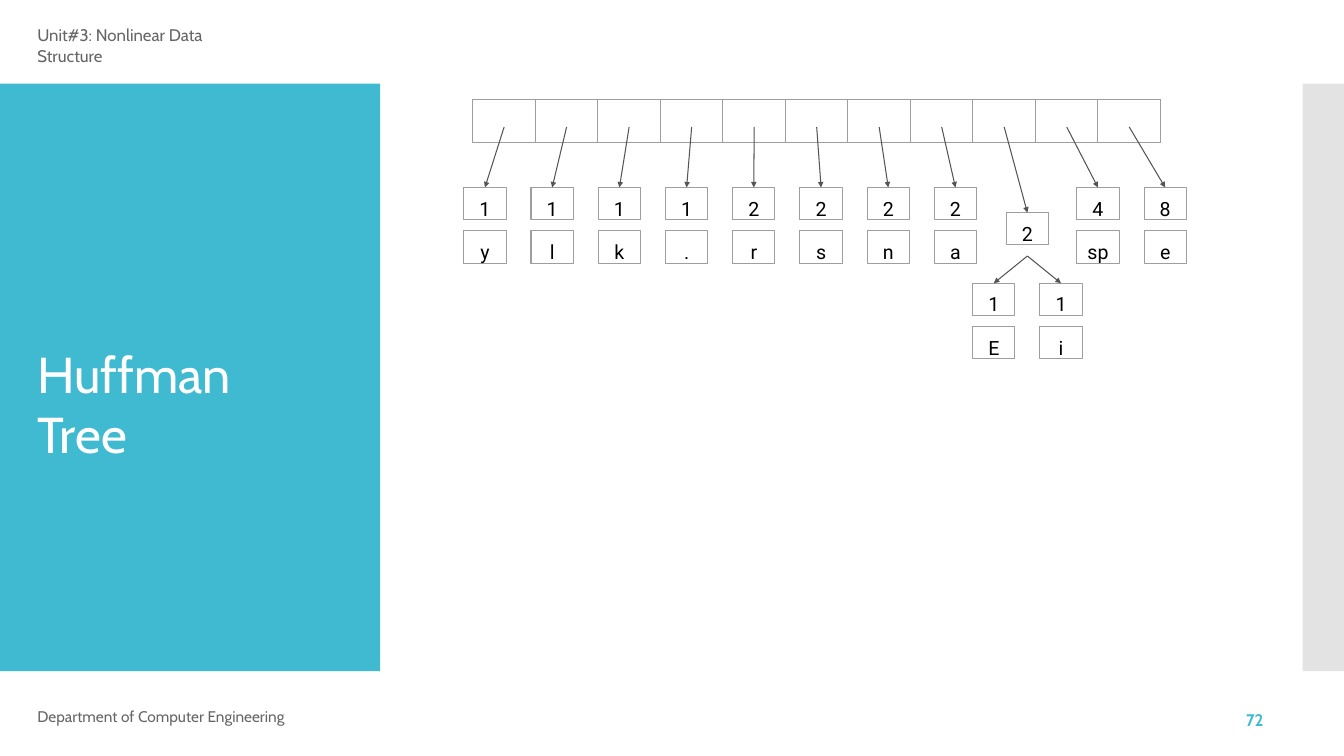
from lxml.etree import SubElement
from pptx import Presentation
from pptx.dml.color import RGBColor
from pptx.enum.shapes import MSO_CONNECTOR, MSO_SHAPE
from pptx.enum.text import MSO_ANCHOR, PP_ALIGN
from pptx.oxml.ns import qn
from pptx.util import Inches, Pt

TEAL = RGBColor(0x40, 0xBA, 0xD1)
PALE = RGBColor(0xE3, 0xE3, 0xE3)
WHITE = RGBColor(0xFF, 0xFF, 0xFF)
BLACK = RGBColor(0, 0, 0)
TEXT_GRAY = RGBColor(0x66, 0x66, 0x66)
BOX_GRAY = RGBColor(0x9E, 0x9E, 0x9E)
ARROW_GRAY = RGBColor(0x54, 0x54, 0x54)

TITLE = "Huffman Tree"
PANELS = [((0, 0.83, 3.77, 5.83), TEAL), ((12.92, 0.83, 0.41, 5.83), PALE)]
LABELS = [
    ("Unit#3: Nonlinear Data Structure", (0.37, 0.25, 2.2, 0.42),
     {"size": Pt(12), "color": TEXT_GRAY}, None),
    ("Department of Computer Engineering", (0.37, 7.04, 2.6, 0.18),
     {"size": Pt(11), "color": TEXT_GRAY}, Pt(11.4)),
    ("72", (12.36, 7.07, 0.27, 0.19),
     {"size": Pt(12), "color": TEAL, "bold": True}, Pt(12.3)),
]
LEFT_LEAVES = [("1", "y"), ("1", "l"), ("1", "k"), ("1", "."),
               ("2", "r"), ("2", "s"), ("2", "n"), ("2", "a")]
MERGED = ("2", [("1", "E"), ("1", "i")])
RIGHT_LEAVES = [("4", "sp"), ("8", "e")]

QUEUE_LEFT, QUEUE_TOP, CELL_W, CELL_H = 4.69, 0.985, 0.62, 0.43
NODE_W, NODE_H, NODE_PITCH, SYMBOL_DROP = 0.42, 0.32, 2 / 3, 0.43
LEAF_TOP, LEFT_START, RIGHT_START = 1.86, 4.6, 10.68
MERGED_LEFT, MERGED_TOP, CHILD_TOP = 9.98, 2.11, 2.81
FORK = (10.19, 2.54)
POINTER_Y = 1.26


def write(sp, text, fmt, align=PP_ALIGN.LEFT, top=0, spacing=None):
    tf = sp.text_frame
    frame = {"word_wrap": True, "vertical_anchor": MSO_ANCHOR.TOP,
             "margin_left": 0, "margin_right": 0,
             "margin_top": Inches(top), "margin_bottom": 0}
    for name, value in frame.items():
        setattr(tf, name, value)
    p = tf.paragraphs[0]
    p.alignment = align
    if spacing:
        p.line_spacing = spacing
    r = p.add_run()
    r.text = text
    for name, value in fmt.items():
        if name == "color":
            r.font.color.rgb = value
        else:
            setattr(r.font, name, value)


def add_rect(s, box):
    sp = s.shapes.add_shape(MSO_SHAPE.RECTANGLE, *map(Inches, box))
    sp.shadow.inherit = False
    return sp


def add_node(s, left, top, text):
    sp = add_rect(s, (left, top, NODE_W, NODE_H))
    sp.fill.background()
    sp.line.color.rgb = BOX_GRAY
    sp.line.width = Pt(0.75)
    write(sp, text, {"name": "Roboto", "size": Pt(14), "color": BLACK},
          PP_ALIGN.CENTER, 0.09)
    return sp


def add_leaf(s, left, top, leaf):
    count, symbol = leaf
    node = add_node(s, left, top, count)
    add_node(s, left, top + SYMBOL_DROP, symbol)
    return node


def add_arrow(s, x, y, node):
    c = s.shapes.add_connector(MSO_CONNECTOR.STRAIGHT, Inches(x), Inches(y),
                               Inches(x), Inches(y))
    c.end_connect(node, 0)
    c.line.color.rgb = ARROW_GRAY
    c.line.width = Pt(0.75)
    SubElement(c.line._get_or_add_ln(), qn("a:tailEnd"),
               type="triangle", w="sm", len="sm")
    SubElement(c._element.spPr, qn("a:effectLst"))


def add_queue(s, n):
    frame = s.shapes.add_table(1, n, Inches(QUEUE_LEFT), Inches(QUEUE_TOP),
                               Inches(CELL_W * n), Inches(CELL_H))
    table = frame.table
    table.first_row = table.horz_banding = False
    table.rows[0].height = Inches(CELL_H)
    for col in table.columns:
        col.width = Inches(CELL_W)
    for cell in table.iter_cells():
        for side in ("lnL", "lnR", "lnT", "lnB"):
            ln = SubElement(cell._tc.get_or_add_tcPr(), qn("a:" + side), w="9525")
            fill = SubElement(ln, qn("a:solidFill"))
            SubElement(fill, qn("a:srgbClr"), val=str(BOX_GRAY))
        cell.fill.background()
        cell.text_frame.paragraphs[0].font.size = Pt(12)


def main():
    prs = Presentation()
    prs.slide_width, prs.slide_height = Inches(13.33), Inches(7.5)
    s = prs.slides.add_slide(prs.slide_layouts[5])

    for box, color in PANELS:
        sp = add_rect(s, box)
        sp.fill.solid()
        sp.fill.fore_color.rgb = color
        sp.line.fill.background()

    title = s.shapes.title
    s.shapes._spTree.append(title._element)
    title.left, title.top, title.width, title.height = map(
        Inches, (0.37, 3.4, 2.82, 1.25))
    write(title, TITLE, {"name": "Cabin", "size": Pt(36), "color": WHITE})

    for text, box, fmt, spacing in LABELS:
        tb = s.shapes.add_textbox(*map(Inches, box))
        write(tb, text, {"name": "Cabin", **fmt}, spacing=spacing)

    add_queue(s, len(LEFT_LEAVES) + 1 + len(RIGHT_LEAVES))

    left_nodes = [add_leaf(s, LEFT_START + i * NODE_PITCH, LEAF_TOP, leaf)
                  for i, leaf in enumerate(LEFT_LEAVES)]
    count, children = MERGED
    merged = add_node(s, MERGED_LEFT, MERGED_TOP, count)
    right_nodes = [add_leaf(s, RIGHT_START + i * NODE_PITCH, LEAF_TOP, leaf)
                   for i, leaf in enumerate(RIGHT_LEAVES)]

    for i, node in enumerate(left_nodes + [merged] + right_nodes):
        add_arrow(s, QUEUE_LEFT + (i + 0.5) * CELL_W, POINTER_Y, node)
    for i, leaf in enumerate(children):
        child = add_leaf(s, MERGED_LEFT + (i - 0.5) * NODE_PITCH, CHILD_TOP, leaf)
        add_arrow(s, *FORK, child)

    prs.save("out.pptx")


if __name__ == "__main__":
    main()
